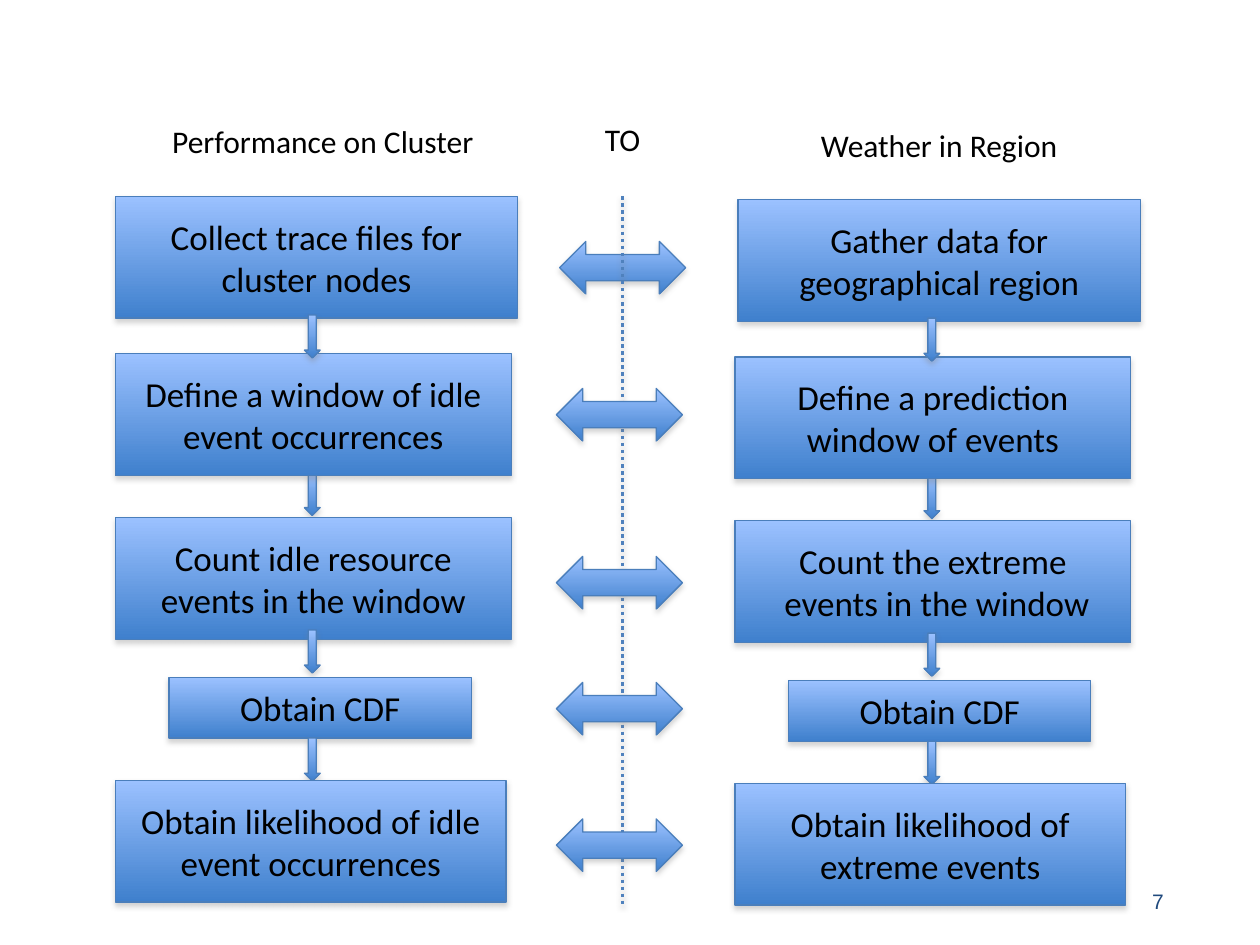
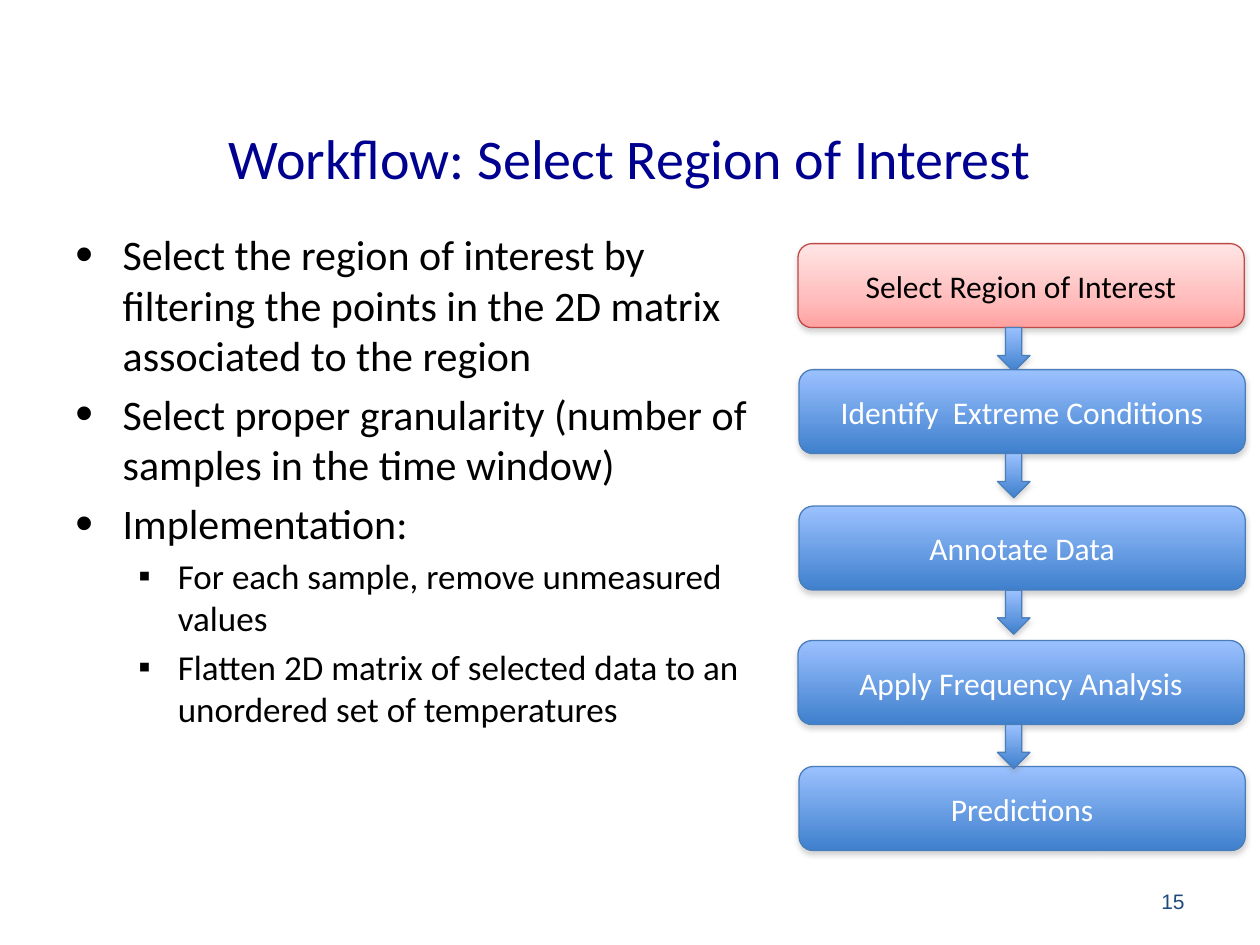
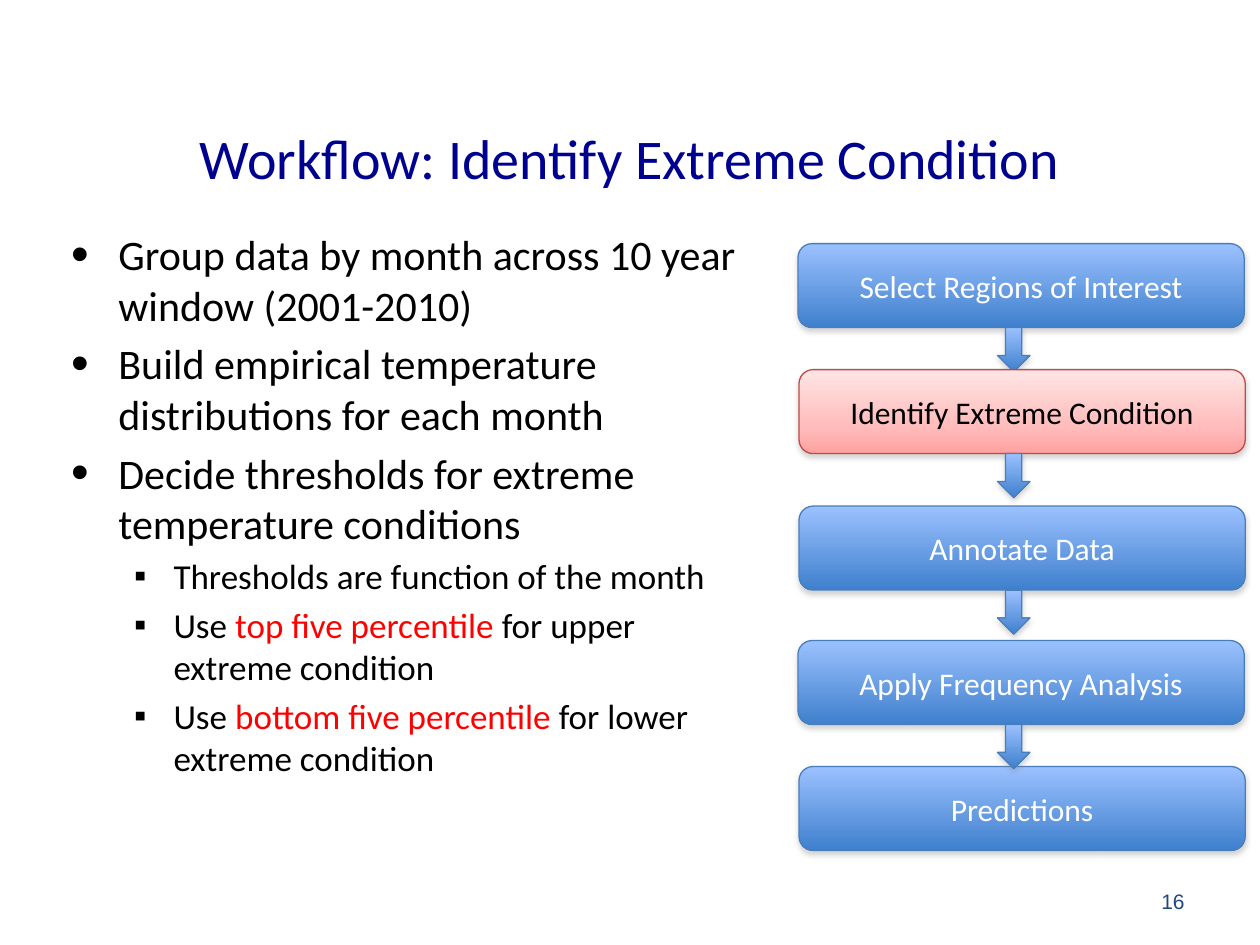
from copy import deepcopy

from lxml.etree import SubElement
from pptx import Presentation
from pptx.dml.color import RGBColor
from pptx.enum.dml import MSO_LINE
from pptx.enum.shapes import MSO_CONNECTOR, MSO_SHAPE
from pptx.enum.text import MSO_ANCHOR, PP_ALIGN
from pptx.oxml.ns import qn
from pptx.util import Inches, Pt

# Shared style: every length below is in grid cells of 1/12 inch
CELL = Inches(1) / 12
COLUMNS, ROWS = 120, 90
BLACK = RGBColor(0x00, 0x00, 0x00)
WHITE = RGBColor(0xFF, 0xFF, 0xFF)
RED = RGBColor(0xFF, 0x00, 0x00)
TITLE_BLUE = RGBColor(0x00, 0x00, 0x90)
NUMBER_BLUE = RGBColor(0x1F, 0x49, 0x7D)
DIVIDER_BLUE = RGBColor(0x4F, 0x81, 0xBD)
SHADOW_GRAY = RGBColor(0x80, 0x80, 0x80)
BLUE_EDGE = RGBColor(0x4A, 0x7E, 0xBB)
RED_EDGE = RGBColor(0xBE, 0x4B, 0x48)
BLUE_STOPS = [(0, RGBColor(0x9B, 0xC1, 0xFF)), (100, RGBColor(0x3F, 0x80, 0xCD))]
RED_STOPS = [(0, RGBColor(0xFF, 0xE5, 0xE5)), (65, RGBColor(0xFF, 0xBE, 0xBD)),
             (100, RGBColor(0xFF, 0xA2, 0xA1))]
# Per outline level: bullet, its size in percent, indent in cells, hanging in cells, text size
BULLETS = [("•", 120, 4.5, 4.5, 24), ("▪", 100, 9.75, 3.75, 20)]


def place(slide, left, top, width, height, preset=None, stops=BLUE_STOPS, edge=BLUE_EDGE):
    """Add a text box, or a shaded preset shape with a soft shadow."""
    box = [round(length * CELL) for length in (left, top, width, height)]
    if preset is None:
        shape = slide.shapes.add_textbox(*box)
        shape.text_frame.word_wrap = True
        return shape
    shape = slide.shapes.add_shape(preset, *box)
    shape.fill.gradient()
    shape.fill.gradient_angle = 270
    stop_list = shape.element.spPr.find(".//" + qn("a:gsLst"))
    for old_stop in list(stop_list):
        stop_list.remove(old_stop)
    for percent, color in stops:
        stop = SubElement(stop_list, qn("a:gs"), pos=str(percent * 1000))
        SubElement(stop, qn("a:srgbClr"), val=str(color))
    shape.line.color.rgb = edge
    shape.line.width = Pt(0.75)
    shape.shadow.inherit = False
    effects = shape.element.spPr.find(qn("a:effectLst"))
    shadow = SubElement(effects, qn("a:outerShdw"), blurRad=str(Pt(3.1)), dist=str(Pt(1.8)),
                        dir="5400000", rotWithShape="0")
    shadow_color = SubElement(shadow, qn("a:srgbClr"), val=str(SHADOW_GRAY))
    SubElement(shadow_color, qn("a:alpha"), val="35000")
    return shape


def write_text(shape, text, size=18, color=BLACK, font="Calibri", align=PP_ALIGN.CENTER,
               anchor=MSO_ANCHOR.MIDDLE, level=None):
    """Append a paragraph per line; text between bars is red, a level adds a bullet."""
    frame = shape.text_frame
    frame.vertical_anchor = anchor
    for line in text.split("\n"):
        paragraph = frame.add_paragraph() if frame.text else frame.paragraphs[0]
        paragraph.alignment = align
        if level is not None:
            character, percent, indent, hanging, size = BULLETS[level]
            paragraph.level = level
            paragraph.space_before = Pt(size * 0.2)
            properties = paragraph._p.get_or_add_pPr()
            properties.set("marL", str(round(indent * CELL)))
            properties.set("indent", str(round(-hanging * CELL)))
            SubElement(properties, qn("a:buSzPct"), val=str(percent * 1000))
            SubElement(properties, qn("a:buFont"), typeface="Arial")
            SubElement(properties, qn("a:buChar"), char=character)
        for index, part in enumerate(line.split("|")):
            run = paragraph.add_run()
            run.text = part
            run.font.size = Pt(size)
            run.font.name = font
            run.font.color.rgb = RED if index % 2 else color


presentation = Presentation()
presentation.slide_width = round(COLUMNS * CELL)
presentation.slide_height = round(ROWS * CELL)
blank_layout = presentation.slide_layouts[6]

# Comparison slide: headings and dotted divider
slide = presentation.slides.add_slide(blank_layout)
write_text(place(slide, 84, 83.4, 28, 4.8), "7", size=12, color=NUMBER_BLUE, font="Arial",
           align=PP_ALIGN.RIGHT)
first_link = place(slide, 53.3, 23, 12, 5, MSO_SHAPE.LEFT_RIGHT_ARROW)
divider = slide.shapes.add_connector(
    MSO_CONNECTOR.STRAIGHT, *[round(length * CELL) for length in (59.3, 18.7, 59.3, 86.4)])
divider.line.color.rgb = DIVIDER_BLUE
divider.line.width = Pt(2)
divider.line.dash_style = MSO_LINE.ROUND_DOT
divider.element.spPr.append(deepcopy(first_link.element.spPr.find(qn("a:effectLst"))))
for left, top, width, heading in [(53.3, 10.8, 12, "TO"),
                                  (15, 11, 31.5, "Performance on Cluster"),
                                  (76.8, 11.4, 25.3, "Weather in Region")]:
    label = place(slide, left, top, width, 4.8)
    label.text_frame.word_wrap = False
    write_text(label, heading, anchor=MSO_ANCHOR.TOP)

# Comparison slide: the two parallel processes, from back to front
processes = [
    (11, 0, 11, "Collect trace files for cluster nodes",
     "Define a window of idle event occurrences", "Count idle resource events in the window",
     "Obtain likelihood of idle event occurrences"),
    (70, 0.3, 70.3, "Gather data for geographical region",
     "Define a prediction window of events", "Count the extreme\n events in the window",
     "Obtain likelihood of extreme events"),
]
for left, drop, first_left, collect, define, count, likelihood in processes:
    for step_left, top, width, height, text in [
            (left + 18, 45, 1.5, 4.1, None),
            (left, 49.3, 37.7, 11.6, count),
            (left + 18, 60, 1.5, 4.1, None),
            (left + 5.1, 64.5, 28.8, 5.8, "Obtain CDF"),
            (left + 18, 70.3, 1.5, 4.1, None),
            (left, 74.3, 37.2, 11.6, likelihood),
            (left, 33.7, 37.7, 11.6, define),
            (first_left, 18.7, 38.3, 11.6, collect),
            (left + 18, 30, 1.5, 4.1, None)]:
        preset = MSO_SHAPE.RECTANGLE if text else MSO_SHAPE.DOWN_ARROW
        step = place(slide, step_left, top + drop, width, height, preset)
        if text:
            write_text(step, text, size=20)

for top in (37, 53, 65, 78):
    place(slide, 53, top, 12, 5, MSO_SHAPE.LEFT_RIGHT_ARROW)

# Workflow slides: title, body box, bullets, first two stages, highlighted stage
workflows = [
    ("Workflow: Select Region of Interest", "15", (6, 21.2, 68, 62.2),
     [(0, "Select the region of interest by filtering the points in the 2D matrix "
          "associated to the region"),
      (0, "Select proper granularity (number of samples in the time window)"),
      (0, "Implementation:"),
      (1, "For each sample, remove unmeasured values"),
      (1, "Flatten 2D matrix of selected data to an unordered set of temperatures")],
     "Select Region of Interest", "Identify  Extreme Conditions", "Select Region of Interest"),
    ("Workflow: Identify Extreme Condition", "16", (5.6, 21.2, 67.4, 64.6),
     [(0, "Group data by month across 10 year window (2001-2010)"),
      (0, "Build empirical temperature distributions for each month"),
      (0, "Decide thresholds for extreme temperature conditions"),
      (1, "Thresholds are function of the month"),
      (1, "Use |top five percentile |for upper extreme condition"),
      (1, "Use |bottom five percentile |for lower extreme condition")],
     "Select Regions of Interest", "Identify Extreme Condition", "Identify Extreme Condition"),
]
for title, number, body_box, points, select, identify, current in workflows:
    slide = presentation.slides.add_slide(blank_layout)
    write_text(place(slide, 6, 11, 108, 8), title, size=32, color=TITLE_BLUE)
    write_text(place(slide, 86, 83.4, 28, 4.8), number, size=12, color=NUMBER_BLUE,
               font="Arial", align=PP_ALIGN.RIGHT)
    body = place(slide, *body_box)
    for level, point in points:
        write_text(body, point, align=PP_ALIGN.LEFT, anchor=MSO_ANCHOR.TOP, level=level)

    # Stages with an arrow below all but the last, which lies behind the arrow into it
    for left, top, name in [(76.1, 73, "Predictions"), (76, 23.2, select),
                            (76.1, 35.2, identify), (76.1, 48.2, "Annotate Data"),
                            (76, 61, "Apply Frequency Analysis")]:
        colors = (RED_STOPS, RED_EDGE) if name == current else (BLUE_STOPS, BLUE_EDGE)
        stage = place(slide, left, top, 42.5, 8, MSO_SHAPE.ROUNDED_RECTANGLE, *colors)
        write_text(stage, name, color=BLACK if name == current else WHITE)
        if name != "Predictions":
            place(slide, 95, top + 8, 3.1, 4.2, MSO_SHAPE.DOWN_ARROW)

presentation.save("out.pptx")
